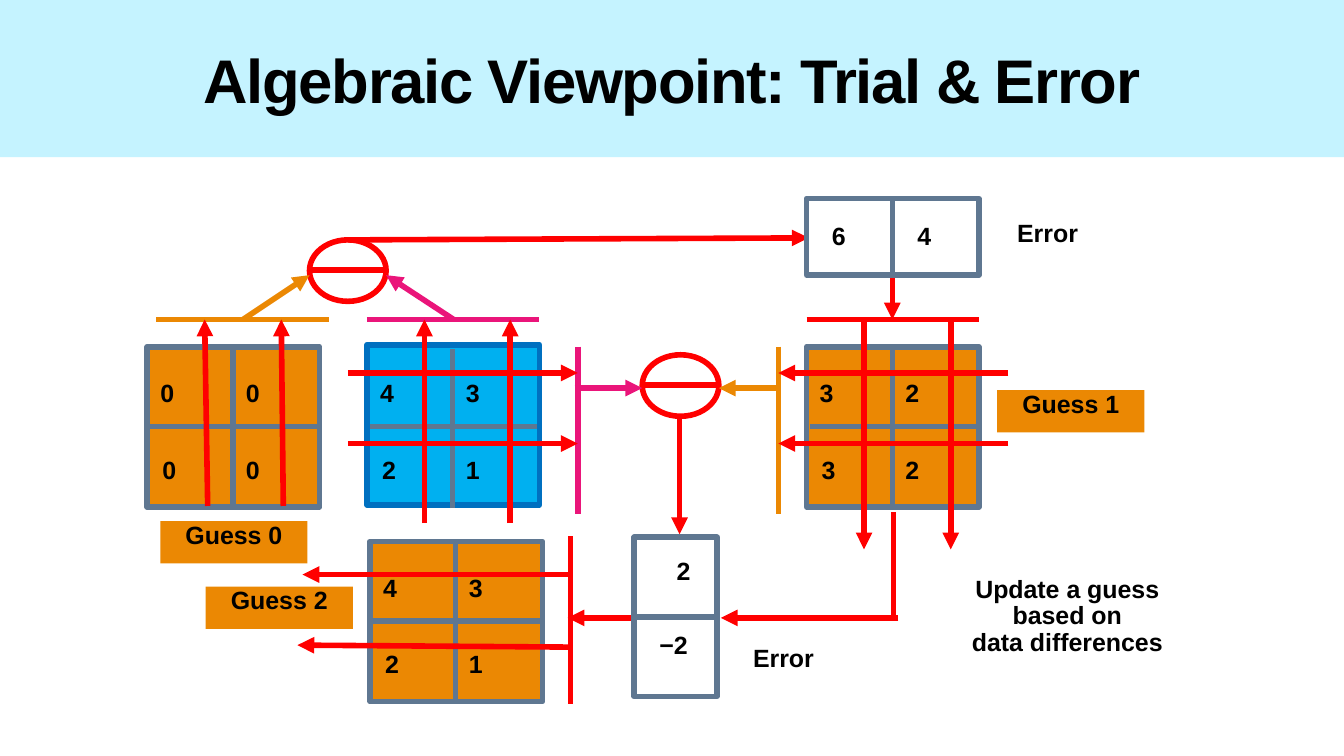
from lxml import etree
from pptx import Presentation
from pptx import util as u
from pptx.dml.color import RGBColor
from pptx.enum import shapes, text
from pptx.oxml import ns

RED, ORANGE, PINK = "FF0000", "EB8803", "EA157A"
SLATE, WHITE, BLACK = "5F7791", "FFFFFF", "000000"
SKY, BLUE, PALE = "00B0F0", "0070C0", "C5F3FF"


def rgb(value):
    return RGBColor.from_string(value)


def stroke(canvas, start, end, color, arrow=False):
    """Draw a line, with an arrowhead at its end if asked."""
    points = [u.Inches(value) for value in (*start, *end)]
    link = canvas.add_connector(shapes.MSO_CONNECTOR.STRAIGHT, *points)
    link.line.color.rgb = rgb(color)
    link.line.width = u.Pt(4)
    if arrow:
        outline = link.line._get_or_add_ln()
        etree.SubElement(outline, ns.qn("a:tailEnd"), type="triangle")
    etree.SubElement(link._element.spPr, ns.qn("a:effectLst"))


def frame(canvas, box, fill, edge, kind=shapes.MSO_SHAPE.RECTANGLE):
    outline = canvas.add_shape(kind, *map(u.Inches, box))
    outline.shadow.inherit = False
    outline.fill.solid()
    outline.fill.fore_color.rgb = rgb(fill)
    outline.line.color.rgb = rgb(edge)
    outline.line.width = u.Pt(4)


def write(canvas, box, words, fill, margins, spacing, align, wrap):
    holder = canvas.add_textbox(*map(u.Inches, box))
    if fill:
        holder.fill.solid()
        holder.fill.fore_color.rgb = rgb(fill)
    body = holder.text_frame
    body.word_wrap = wrap
    body.margin_left = body.margin_right = u.Inches(margins[0])
    body.margin_top = body.margin_bottom = u.Inches(margins[1])
    line = body.paragraphs[0]
    line.text = words
    line.alignment = align
    line.line_spacing = spacing
    line.font.name = "Arial"
    line.font.size = u.Pt(17.8)
    line.font.bold = True
    line.font.color.rgb = rgb(BLACK)


def number(canvas, left, top, value, fill, width=0.6):
    write(canvas, (left, top, width, 0.45), value, fill, (0.07, 0.04), 0.9,
          text.PP_ALIGN.LEFT, True)


def label(canvas, box, words, fill=None):
    write(canvas, box, words, fill, (0.06, 0.02), 0.88,
          text.PP_ALIGN.CENTER, False)


def matrix(canvas, left, top, values, fill=ORANGE, edge=SLATE, rise=0):
    """Draw a 2 by 2 matrix whose frame starts a little above its grid."""
    frame(canvas, (left, top - rise, 1.71, 1.59), fill, edge)
    stroke(canvas, (left + 0.85, top + 1.6), (left + 0.85, top + 0.02), SLATE)
    stroke(canvas, (left + 0.03, top + 0.79), (left + 1.69, top + 0.79), SLATE)
    offsets = [(0.06, 0.3), (0.91, 0.3), (0.08, 1.06), (0.91, 1.06)]
    for value, (right, down) in zip(values, offsets):
        number(canvas, left + right, top + down, value, fill)


def minus(canvas, left, top):
    """Draw the circled minus that subtracts two projections."""
    frame(canvas, (left, top, 0.76, 0.61), WHITE, RED, shapes.MSO_SHAPE.OVAL)
    stroke(canvas, (left, top + 0.3), (left + 0.76, top + 0.3), RED)


def projection_bars(canvas):
    for left, color in ((1.55, ORANGE), (3.64, PINK), (8, RED)):
        stroke(canvas, (left, 3.17), (left + 1.71, 3.17), color)
    for x, top, color in ((5.73, 3.44, PINK), (7.72, 3.44, ORANGE),
                          (5.66, 5.32, RED)):
        stroke(canvas, (x, top), (x, top + 1.66), color)


def projection_arrows(canvas):
    for foot, head in ((2.06, 2.03), (2.81, 2.79)):
        stroke(canvas, (foot, 5.02), (head, 3.17), RED, True)
    for x in (4.21, 5.06):
        stroke(canvas, (x, 5.19), (x, 3.17), RED, True)
    for x in (8.57, 9.43):
        stroke(canvas, (x, 3.17), (x, 5.45), RED, True)
    for y in (3.7, 4.4):
        stroke(canvas, (3.45, y), (5.73, y), RED, True)
        stroke(canvas, (10, y), (7.72, y), RED, True)
    stroke(canvas, (5.63, 5.7), (3, 5.7), RED, True)
    stroke(canvas, (5.66, 6.42), (2.95, 6.4), RED, True)


def flow_arrows(canvas):
    for start, end, color in (
        ((2.41, 3.17), (3.07, 2.73), ORANGE),
        ((4.5, 3.17), (3.83, 2.73), PINK),
        ((3.45, 2.38), (8.02, 2.36), RED),
        ((8.85, 2.38), (8.85, 3.17), RED),
        ((5.7, 3.85), (6.37, 3.85), PINK),
        ((7.7, 3.85), (7.13, 3.85), ORANGE),
        ((6.74, 4.12), (6.74, 5.3), RED),
        ((6.72, 6.13), (5.63, 6.13), RED),
        ((8.91, 6.13), (7.15, 6.13), RED),
    ):
        stroke(canvas, start, end, color, True)
    stroke(canvas, (8.86, 5.08), (8.86, 6.13), RED)


def error_vectors(canvas):
    frame(canvas, (8, 1.97, 1.71, 0.76), WHITE, SLATE)
    stroke(canvas, (8.85, 2.71), (8.85, 1.99), SLATE)
    number(canvas, 8.18, 2.18, "6", WHITE)
    number(canvas, 9.03, 2.18, "4", WHITE)
    frame(canvas, (6.29, 5.33, 0.82, 1.58), WHITE, SLATE)
    stroke(canvas, (7.1, 6.12), (6.32, 6.12), SLATE)
    number(canvas, 6.64, 5.51, "2", WHITE, 0.29)
    number(canvas, 6.47, 6.24, "−2", WHITE)


def heading(slide, words):
    title = slide.shapes.title
    title.left = title.top = 0
    title.width, title.height = u.Inches(13.33), u.Inches(1.56)
    title.fill.solid()
    title.fill.fore_color.rgb = rgb(PALE)
    title.text_frame.vertical_anchor = text.MSO_ANCHOR.MIDDLE
    line = title.text_frame.paragraphs[0]
    line.text = words
    line.alignment = text.PP_ALIGN.CENTER
    line.font.name = "Arial"
    line.font.size = u.Pt(44)
    line.font.bold = True
    line.font.color.rgb = rgb(BLACK)
    line.runs[0]._r.get_or_add_rPr().set("spc", "-100")


def main():
    deck = Presentation()
    deck.slide_width, deck.slide_height = u.Inches(13.33), u.Inches(7.5)
    slide = deck.slides.add_slide(deck.slide_layouts[5])
    canvas = slide.shapes
    heading(slide, "Algebraic Viewpoint: Trial & Error")

    matrix(canvas, 8, 3.44, "3232")
    matrix(canvas, 3.64, 3.44, "4321", SKY, BLUE, rise=0.02)
    matrix(canvas, 1.46, 3.44, "0000")
    matrix(canvas, 3.67, 5.37, "4321")
    projection_bars(canvas)
    projection_arrows(canvas)
    minus(canvas, 3.07, 2.38)
    minus(canvas, 6.37, 3.52)
    flow_arrows(canvas)
    error_vectors(canvas)

    label(canvas, (9.23, 5.71, 2.71, 1.12),
          "Update a guess\vbased on\vdata differences")
    for left, top, words in ((9.89, 3.87, "Guess 1"), (1.59, 5.17, "Guess 0"),
                             (2.04, 5.82, "Guess 2")):
        label(canvas, (left, top, 1.46, 0.42), words, ORANGE)
    for left, top in ((9.9, 2.18), (7.28, 6.39)):
        label(canvas, (left, top, 0.98, 0.42), "Error", WHITE)
    deck.save("out.pptx")


if __name__ == "__main__":
    main()
